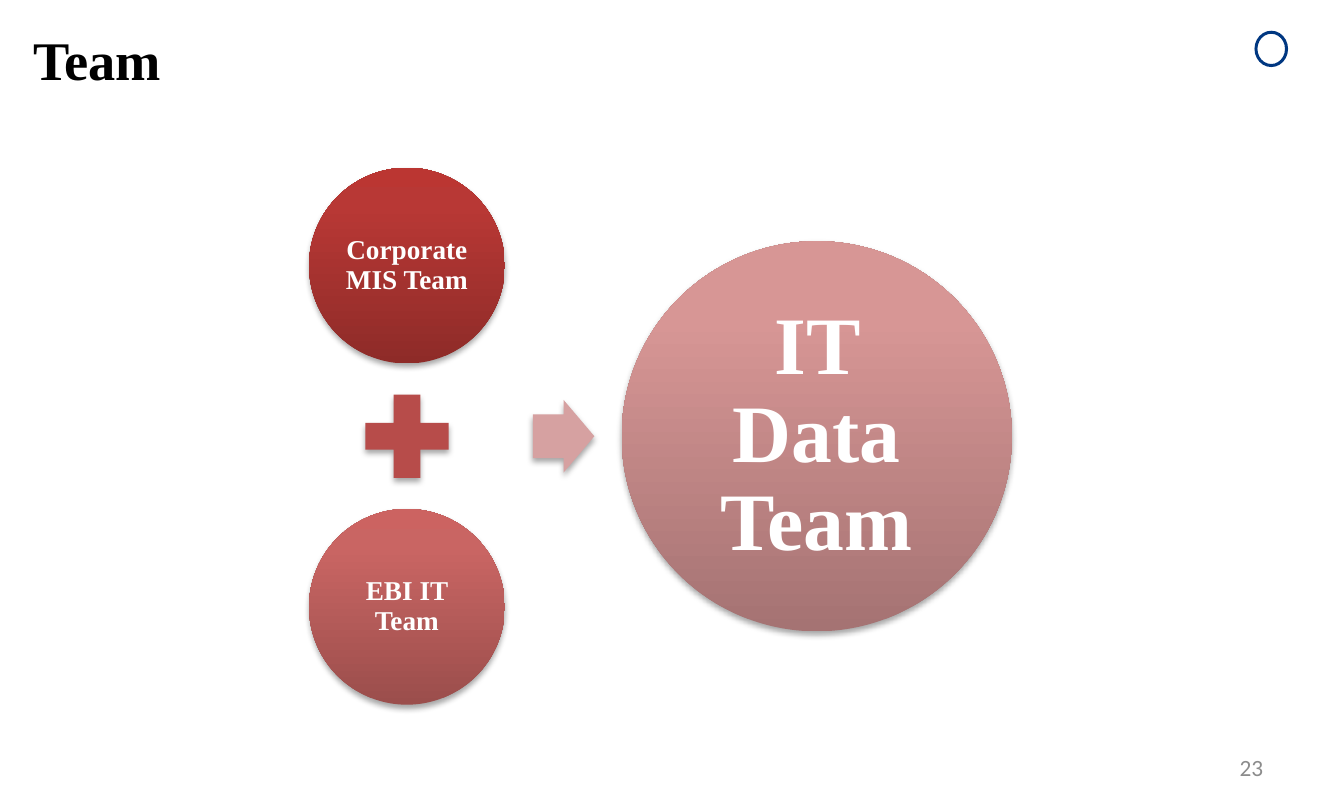
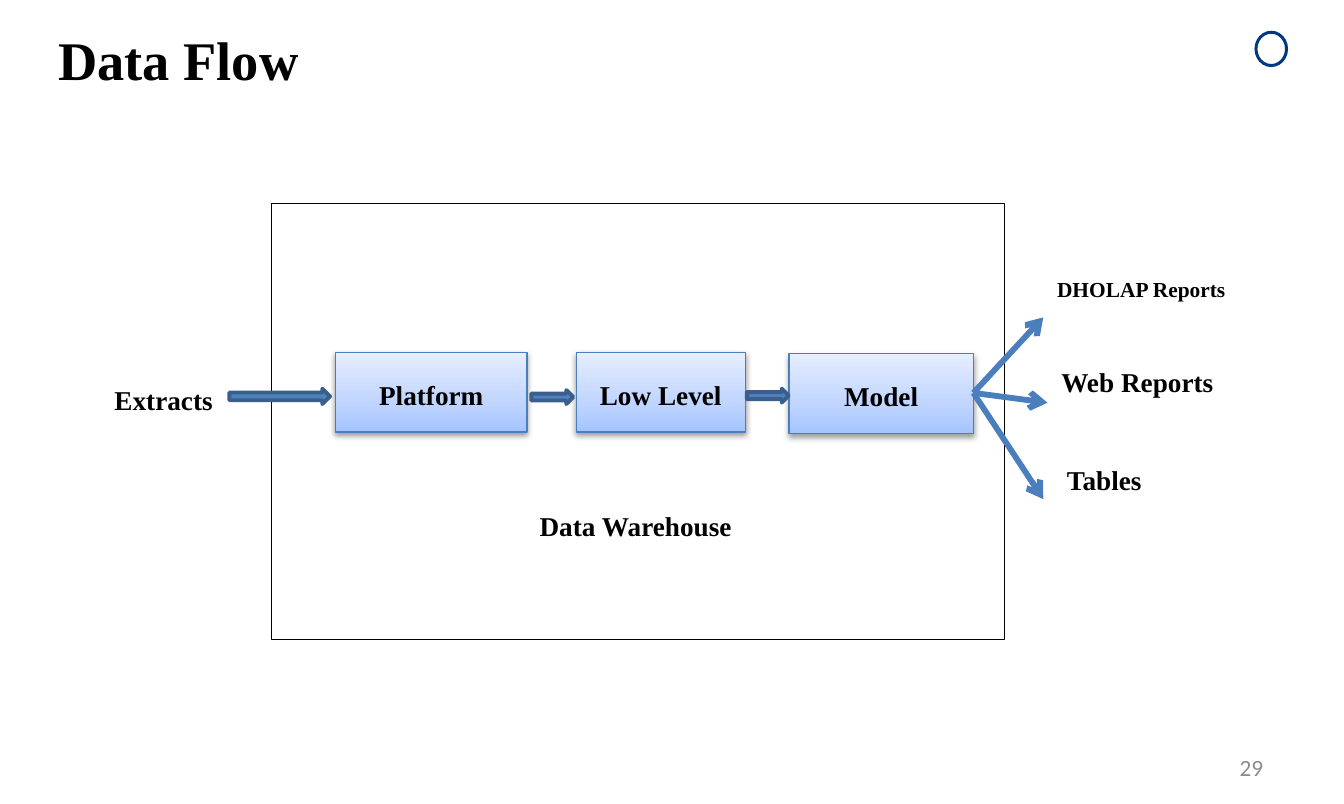
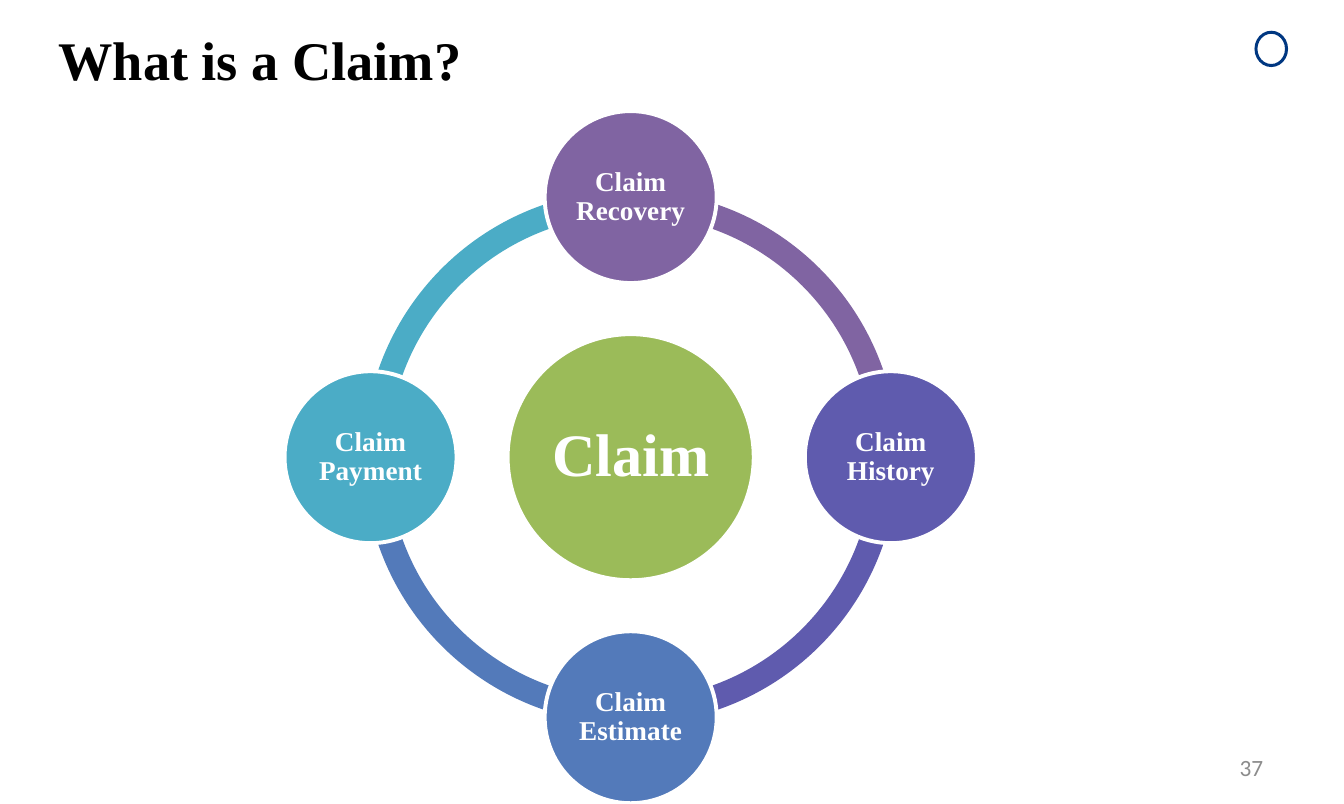
"""Build three slides: a team merger, a data flow and a claim cycle."""
import math

from lxml import etree
from pptx import Presentation, util as u
from pptx.dml.color import RGBColor
from pptx.enum import shapes, text
from pptx.oxml.ns import qn

W, H = 9.61, 5.75
SERIF, SANS = "Times New Roman", "Calibri"
G, A, V = shapes.MSO_SHAPE, text.PP_ALIGN, text.MSO_ANCHOR
C = {"ink": "000000", "paper": "FFFFFF", "number": "8C8C8C", "badge": "003781",
     "plus": "B74C4A", "merge": "D6A1A1", "edge": "4B7EBC",
     "arrow": "4F81BD", "arrow_edge": "3A5F8C", "claim": "9BBB59",
     "recovery": "8064A2", "history": "5F5BAE", "estimate": "537ABA", "payment": "4BACC6"}
GRADS = {"corporate": [(0, "8E2B28"), (80, "B83835"), (100, "BB3632")],
         "ebi": [(0, "9B4E4C"), (80, "C96563"), (100, "CC6361")],
         "data": [(0, "A57373"), (80, "D79695"), (100, "D99594")],
         "stage": [(0, "A4C4FF"), (35, "BFD4FF"), (100, "E6EEFF")]}
RED_SHADOW = {"alpha": 35, "dist": 1.8}
BLUE_SHADOW = {"alpha": 38, "dist": 1.6}

TEAM_MID, TEAM_X, TEAM_STEP = 3.12, 2.91, 1.22
TEAMS = [("Corporate MIS Team", "corporate", TEAM_X, TEAM_MID - TEAM_STEP, 1.4, 14, 0.02),
         ("EBI IT Team", "ebi", TEAM_X, TEAM_MID + TEAM_STEP, 1.4, 14, 0.02),
         ("IT Data Team", "data", 5.84, TEAM_MID, 2.79, 42, 0.06)]

FRAME = (1.94, 1.45, 5.24, 3.12)
STAGES = [("Platform", 2.4, 2.52, 1.37), ("Low Level", 4.12, 2.52, 1.21),
          ("Model", 5.64, 2.53, 1.32)]
STAGE_H = 0.57
LABELS = [("Data Warehouse", (3.76, 3.56, 1.99, 0.74), 14),
          ("Extracts", (0.72, 2.66, 1.08, 0.39), 14),
          ("DHOLAP Reports", (7.46, 1.9, 1.76, 0.61), 11),
          ("Web Reports", (7.49, 2.53, 1.67, 0.71), 14),
          ("Tables", (7.53, 3.23, 1.01, 0.68), 14)]
FAN_FROM = (6.96, 2.81)
FAN_TO = [(7.46, 2.27), (7.49, 2.88), (7.46, 3.57)]
FLOW_ARROWS = [(3.8, 2.79, 0.3, 0.1), (5.34, 2.78, 0.3, 0.1), (1.64, 2.78, 0.72, 0.11)]

HUB, RADIUS = (4.51, 3.27), 1.86
QUARTER, FULL_TURN = 54, 216
CLAIMS = [("Claim Recovery", "recovery"), ("Claim History", "history"),
          ("Claim Estimate", "estimate"), ("Claim Payment", "payment")]


def rgb(name):
    return RGBColor.from_string(C[name])


def apply(obj, **values):
    for name, value in values.items():
        setattr(obj, name, value)


def inches(values):
    return [u.Inches(v) for v in values]


def around(x, y, w, h=None):
    h = h or w
    return x - w / 2, y - h / 2, w, h


def write(sp, words, size, color="ink", bold=True, font=SERIF, align=A.LEFT,
          anchor=V.TOP, inset=None, **spacing):
    tf = sp.text_frame
    apply(tf, word_wrap=True, vertical_anchor=anchor)
    if inset is not None:
        apply(tf, **{f"margin_{side}": u.Inches(inset)
                     for side in ("left", "right", "top", "bottom")})
    p = tf.paragraphs[0]
    apply(p, alignment=align, **spacing)
    r = p.add_run()
    r.text = words
    apply(r.font, size=u.Pt(size), bold=bold, name=font)
    r.font.color.rgb = rgb(color)


def label(s, box, words, size, **style):
    write(s.shapes.add_textbox(*inches(box)), words, size, **style)


def cast_shadow(sp, alpha, dist):
    effects = sp._element.spPr.find(qn("a:effectLst"))
    outer = etree.SubElement(effects, qn("a:outerShdw"), blurRad=str(u.Pt(3.1)),
                             dist=str(u.Pt(dist)), dir="5400000", rotWithShape="0")
    color = etree.SubElement(outer, qn("a:srgbClr"), val=C["ink"])
    etree.SubElement(color, qn("a:alpha"), val=str(alpha * 1000))


def shape(s, kind, box, fill, line=None, width=1, shadow=None, adj=()):
    sp = s.shapes.add_shape(kind, *inches(box))
    for i, value in enumerate(adj):
        sp.adjustments[i] = value
    if fill in GRADS:
        sp.fill.gradient()
        sp.fill.gradient_angle = 90
        stops = sp._element.spPr.find(".//" + qn("a:gsLst"))
        stops.clear()
        for pos, color in GRADS[fill]:
            stop = etree.SubElement(stops, qn("a:gs"), pos=str(pos * 1000))
            etree.SubElement(stop, qn("a:srgbClr"), val=color)
    else:
        sp.fill.solid()
        sp.fill.fore_color.rgb = rgb(fill)
    if line:
        sp.line.color.rgb = rgb(line)
        sp.line.width = u.Pt(width)
    else:
        sp.line.fill.background()
    sp.shadow.inherit = False
    if shadow:
        cast_shadow(sp, **shadow)
    return sp


def arrow(s, start, end):
    cn = s.shapes.add_connector(shapes.MSO_CONNECTOR.STRAIGHT, *inches(start + end))
    cn.line.color.rgb = rgb("edge")
    cn.line.width = u.Pt(3)
    props = cn._element.spPr
    etree.SubElement(props.find(qn("a:ln")), qn("a:tailEnd"), type="arrow")
    etree.SubElement(props, qn("a:effectLst"))


def disc(s, words, fill, x, y, size, points, inset, **style):
    sp = shape(s, G.OVAL, around(x, y, size), fill, **style)
    write(sp, words, points, "paper", align=A.CENTER, anchor=V.MIDDLE,
          inset=inset, line_spacing=0.9)


def new_slide(prs, title, number, left=0.32):
    s = prs.slides.add_slide(prs.slide_layouts[6])
    shape(s, G.DONUT, (8.97, 0.22, 0.24, 0.26), "badge", adj=[0.09])
    label(s, (6.89, 5.33, 2.24, 0.31), number, 12, color="number", bold=False,
          font=SANS, align=A.RIGHT, anchor=V.MIDDLE)
    label(s, (left, 0.14, 5.15, 0.57), title, 28)
    return s


def team(prs):
    s = new_slide(prs, "Team", "23", left=0.14)
    for entry in TEAMS:
        disc(s, *entry, shadow=RED_SHADOW)
    shape(s, G.MATH_PLUS, around(TEAM_X, TEAM_MID, 0.81), "plus", shadow=RED_SHADOW)
    shape(s, G.RIGHT_ARROW, around(4.03, TEAM_MID, 0.44, 0.52), "merge",
          shadow=RED_SHADOW, adj=[0.6, 0.5])


def data_flow(prs):
    s = new_slide(prs, "Data Flow", "29")
    spacing = {"line_spacing": 1.15, "space_after": u.Pt(10)}
    shape(s, G.RECTANGLE, FRAME, "paper", "ink", 0.25)
    for words, x, y, w in STAGES:
        sp = shape(s, G.RECTANGLE, (x, y, w, STAGE_H), "stage", "edge", 0.75, BLUE_SHADOW)
        write(sp, words, 14, align=A.CENTER, anchor=V.MIDDLE, **spacing)
    for words, box, size in LABELS:
        label(s, box, words, size, **spacing)
    for end in FAN_TO:
        arrow(s, FAN_FROM, end)
    for box in FLOW_ARROWS:
        shape(s, G.RIGHT_ARROW, box, "arrow", "arrow_edge", 2)


def claim_cycle(prs):
    s = new_slide(prs, "What is a Claim?", "37")
    starts = [(i - 1) * QUARTER % FULL_TURN for i in range(len(CLAIMS))]
    for (_, color), start in zip(CLAIMS, starts):
        shape(s, G.BLOCK_ARC, around(*HUB, 3.82), color,
              adj=[start, (start + QUARTER) % FULL_TURN, 0.046])
    disc(s, "Claim", "claim", *HUB, 1.76, 31, 0.04, line="paper", width=2)
    for (words, color), start in zip(CLAIMS, starts):
        angle = math.tau * start / FULL_TURN
        x, y = HUB[0] + RADIUS * math.cos(angle), HUB[1] + RADIUS * math.sin(angle)
        disc(s, words, color, x, y, 1.23, 14, 0.02, line="paper", width=2)


def main():
    prs = Presentation()
    apply(prs, slide_width=u.Inches(W), slide_height=u.Inches(H))
    for build in (team, data_flow, claim_cycle):
        build(prs)
    prs.save("out.pptx")


if __name__ == "__main__":
    main()
